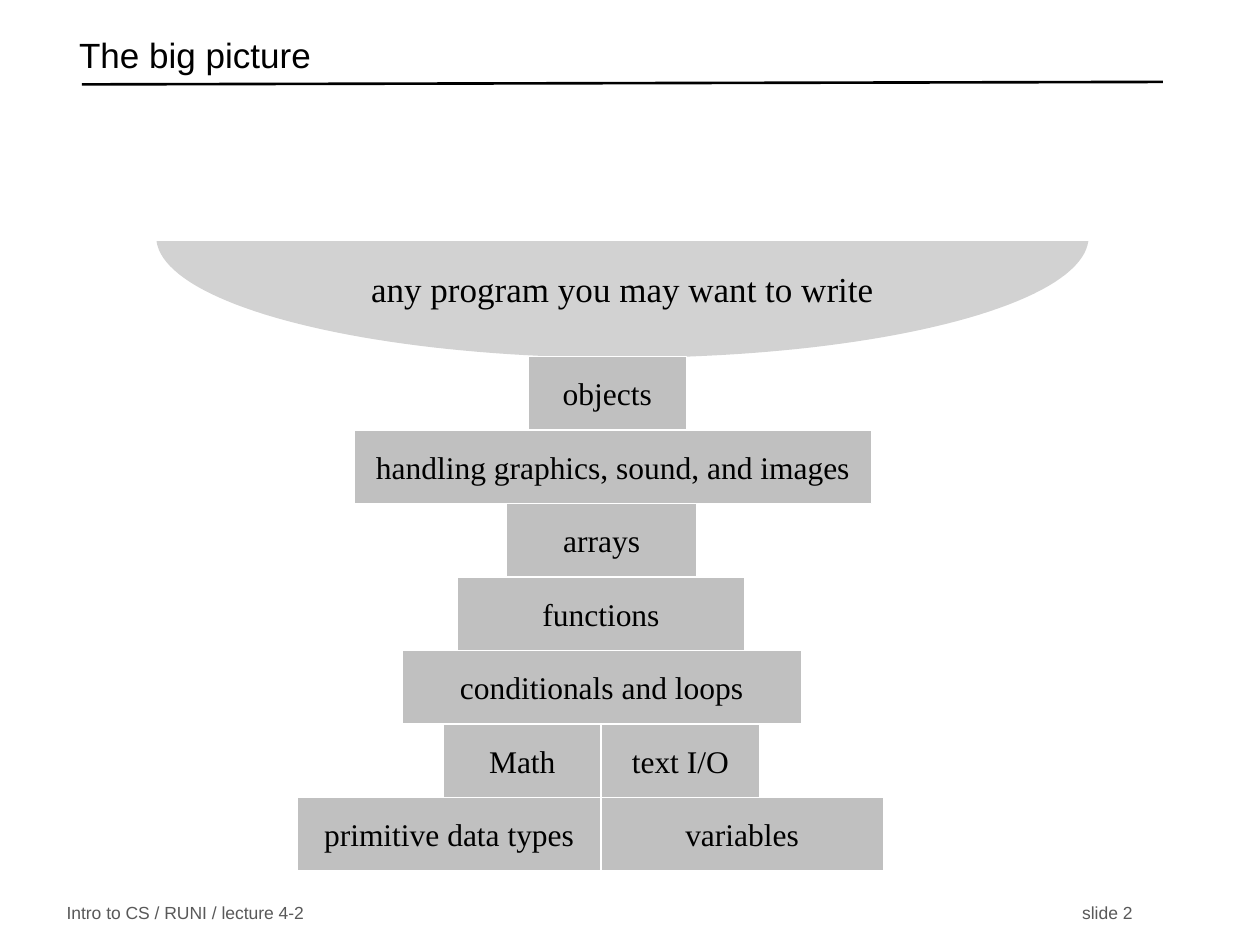
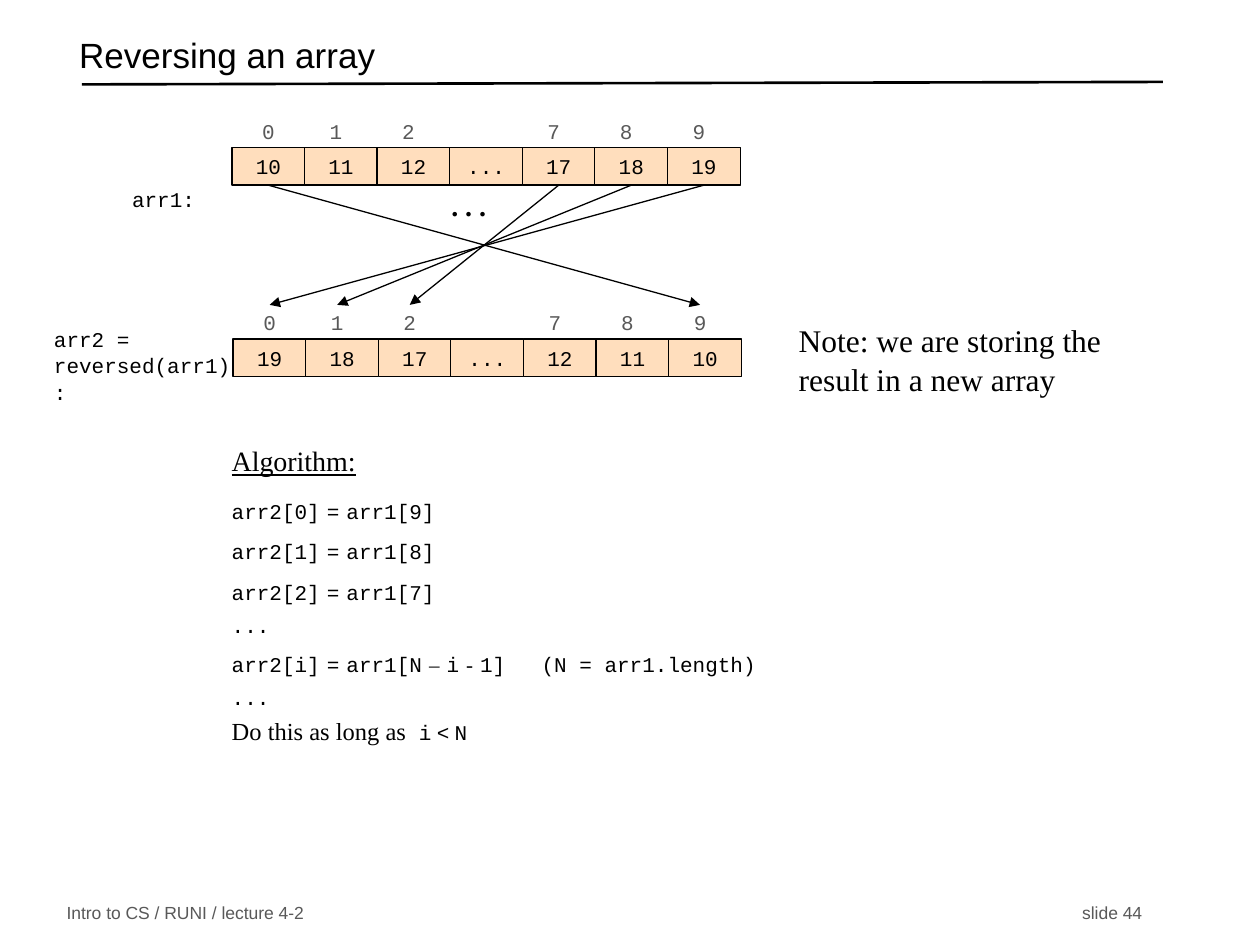
import math

import lxml.etree
import pptx
import pptx.dml.color
import pptx.enum.dml
import pptx.enum.shapes
import pptx.enum.text
import pptx.oxml.ns
import pptx.util

Inches = pptx.util.Inches
Pt = pptx.util.Pt
ALIGN = pptx.enum.text.PP_ALIGN
ANCHOR = pptx.enum.text.MSO_ANCHOR
RECTANGLE = pptx.enum.shapes.MSO_SHAPE.RECTANGLE
STRAIGHT = pptx.enum.shapes.MSO_CONNECTOR.STRAIGHT

SANS, SERIF, MONO = "Arial", "Times New Roman", "Courier New"
BLACK, WHITE, GRAY = "000000", "FFFFFF", "595959"
BLOCK, BOWL, CELL = "C0C0C0", "D2D2D2", "FFDEBD"


def color(value):
    return pptx.dml.color.RGBColor.from_string(value)


def add_element(parent, tag, **attributes):
    return lxml.etree.SubElement(parent, pptx.oxml.ns.qn(tag), attributes)


class Deck:
    """Shared style and the slide being drawn."""

    def __init__(self):
        self.presentation = pptx.Presentation()
        self.presentation.slide_width = Inches(10)
        self.presentation.slide_height = Inches(7.5)
        self.slide = None

    def new_slide(self, title, number):
        layout = self.presentation.slide_layouts[6]
        self.slide = self.presentation.slides.add_slide(layout)
        self.line((0.65, 0.67), (9.23, 0.65), width=1.5)
        heading = self.text((0.53, 0.22, 8.6, 0.5), title, 20, SANS,
                            anchor=ANCHOR.MIDDLE)
        heading.text_frame.paragraphs[0].line_spacing = 0.7
        for left, width, words in ((0.43, 4, "Intro to CS / RUNI / lecture 4-2"),
                                   (8.49, 1, f"slide {number}")):
            self.text((left, 7.14, width, 0.21), words, 10, SANS, GRAY,
                      anchor=ANCHOR.MIDDLE)

    def line(self, start, end, width=0.75, arrow=False):
        connector = self.slide.shapes.add_connector(
            STRAIGHT, *(Inches(value) for value in start + end))
        connector.line.color.rgb = color(BLACK)
        connector.line.width = Pt(width)
        if arrow:
            add_element(connector.line._get_or_add_ln(), "a:tailEnd", type="triangle")
        add_element(connector._element.spPr, "a:effectLst")

    def run(self, paragraph, words, size, font, tint=BLACK):
        run = paragraph.add_run()
        run.text = words
        run.font.size = Pt(size)
        run.font.name = font
        run.font.color.rgb = color(tint)

    def fill_text(self, shape, words, size, font, tint=BLACK, align=ALIGN.LEFT,
                  anchor=ANCHOR.TOP, wrap=True):
        frame = shape.text_frame
        frame.word_wrap = wrap
        frame.vertical_anchor = anchor
        paragraph = frame.paragraphs[0]
        paragraph.alignment = align
        self.run(paragraph, words, size, font, tint)

    def text(self, box, words, size, font, tint=BLACK, **layout):
        shape = self.slide.shapes.add_textbox(*(Inches(value) for value in box))
        self.fill_text(shape, words, size, font, tint, **layout)
        return shape

    def paint(self, shape, fill, outline=None):
        shape.shadow.inherit = False
        shape.fill.solid()
        shape.fill.fore_color.rgb = color(fill)
        if outline:
            shape.line.color.rgb = color(outline)
            shape.line.width = Pt(0.75)
        else:
            shape.line.fill.background()

    def box(self, box, words, size, font, fill, outline):
        shape = self.slide.shapes.add_shape(
            RECTANGLE, *(Inches(value) for value in box))
        self.paint(shape, fill, outline)
        self.fill_text(shape, words, size, font, align=ALIGN.CENTER,
                       anchor=ANCHOR.MIDDLE, wrap=False)

    def bowl(self, center, radii, words):
        """Lower half of an ellipse, with a flat rim."""
        angles = [math.radians(step) for step in range(2, 179, 2)]
        points = [(Inches(center[0] + radii[0] * math.cos(angle)),
                   Inches(center[1] + radii[1] * math.sin(angle)))
                  for angle in angles]
        builder = self.slide.shapes.build_freeform(*points[0])
        builder.add_line_segments(points[1:], close=True)
        shape = builder.convert_to_shape()
        self.paint(shape, BOWL)
        self.fill_text(shape, words, 20, SERIF, align=ALIGN.CENTER,
                       anchor=ANCHOR.MIDDLE, wrap=False)
        shape.text_frame.margin_bottom = Inches(0.22)

    def array(self, left, top, values, indexes):
        """Row of cells with indexes above; gives cell and index centres."""
        pitch, width, height = 0.576, 0.58, 0.3
        cells, labels = [], []
        for column, (value, index) in enumerate(zip(values, indexes)):
            cell = left + column * pitch
            label = cell - (0.04 if column else 0)
            self.box((cell, top, width, height), value, 12, MONO, CELL, BLACK)
            if index:
                self.text((label, top - 0.28, width, height), index, 12, MONO,
                          GRAY, align=ALIGN.CENTER)
            cells.append(cell + width / 2)
            labels.append(label + width / 2)
        return cells, labels

    def code(self, paragraph, words):
        """Monospaced words, parted by serif spaces; dashes are serif too."""
        for position, word in enumerate(words.split(" ")):
            if position:
                self.run(paragraph, " ", 16, SERIF)
            self.run(paragraph, word, 12, SERIF if word in "–-" else MONO)


def big_picture(deck):
    deck.new_slide("The big picture", 2)
    deck.bowl((4.94, 1.88), (3.7, 0.96), "any program you may want to write")

    # Tower of topics, from top to bottom: name, left, width
    rows = [
        [("objects", 4.19, 1.26)],
        [("handling graphics, sound, and images", 2.81, 4.11)],
        [("arrays", 4.02, 1.51)],
        [("functions", 3.63, 2.28)],
        [("conditionals and loops", 3.19, 3.17)],
        [("Math", 3.52, 1.25), ("text I/O", 4.77, 1.26)],
        [("primitive data types", 2.36, 2.41), ("variables", 4.77, 2.24)],
    ]
    height = 3.5 / 6
    for level, row in enumerate(rows):
        for topic, left, width in row:
            deck.box((left, 2.83 + level * height, width, height), topic, 18,
                     SERIF, BLOCK, WHITE)


def reversing(deck):
    deck.new_slide("Reversing an array", 44)

    # Both arrays and the arrows between them
    values = ["10", "11", "12", "...", "17", "18", "19"]
    indexes = ["0", "1", "2", "", "7", "8", "9"]
    sources, _ = deck.array(1.84, 1.17, values, indexes)
    _, targets = deck.array(1.85, 2.69, values[::-1], indexes)
    for column in (6, 5, 4, 0):
        deck.line((sources[column], 1.47), (targets[6 - column], 2.42), arrow=True)
    dots = deck.text((3.33, 1.45, 0.78, 0.37), ". . .", 16, SERIF,
                     align=ALIGN.CENTER)
    dots.text_frame.paragraphs[0].runs[0].font.bold = True

    # Names of the arrays and the note
    deck.text((0.95, 1.43, 0.97, 0.3), "arr1:", 12, MONO)
    label = deck.text((0.33, 2.53, 1.66, 0.7), "arr2 = reversed(arr1):", 12, MONO)
    note = deck.text((6.24, 2.48, 2.75, 0.8),
                     "Note: we are storing the result in a new array", 18, SERIF)
    for shape in (label, note):
        shape.text_frame.paragraphs[0].line_spacing = 1.05

    # Algorithm
    steps = ["arr2[0] = arr1[9]", "arr2[1] = arr1[8]", "arr2[2] = arr1[7]",
             "...", "arr2[i] = arr1[N – i - 1]", "..."]
    algorithm = deck.text((1.74, 3.46, 4.92, 2.83), "Algorithm:", 16, SERIF)
    frame = algorithm.text_frame
    frame.paragraphs[0].runs[0].font.underline = True
    for position, step in enumerate(steps):
        paragraph = frame.add_paragraph()
        paragraph.space_before = Pt(3 if position else 7)
        deck.code(paragraph, step)
        if "N" in step:
            tabs = add_element(paragraph._p.get_or_add_pPr(), "a:tabLst")
            add_element(tabs, "a:tab", pos=str(Inches(2.46)), algn="l")
            deck.run(paragraph, "\t(N = arr1.length)", 12, MONO)
    ending = frame.add_paragraph()
    ending.space_before = Pt(3)
    deck.run(ending, "Do this as long as", 14, SERIF)
    deck.run(ending, " i", 12, MONO)
    for word in ("<", "N"):
        deck.run(ending, " ", 12, SERIF)
        deck.run(ending, word, 12, MONO)
    for paragraph in frame.paragraphs:
        paragraph.line_spacing = 1.05


def main():
    deck = Deck()
    big_picture(deck)
    reversing(deck)
    deck.presentation.save("out.pptx")


if __name__ == "__main__":
    main()
